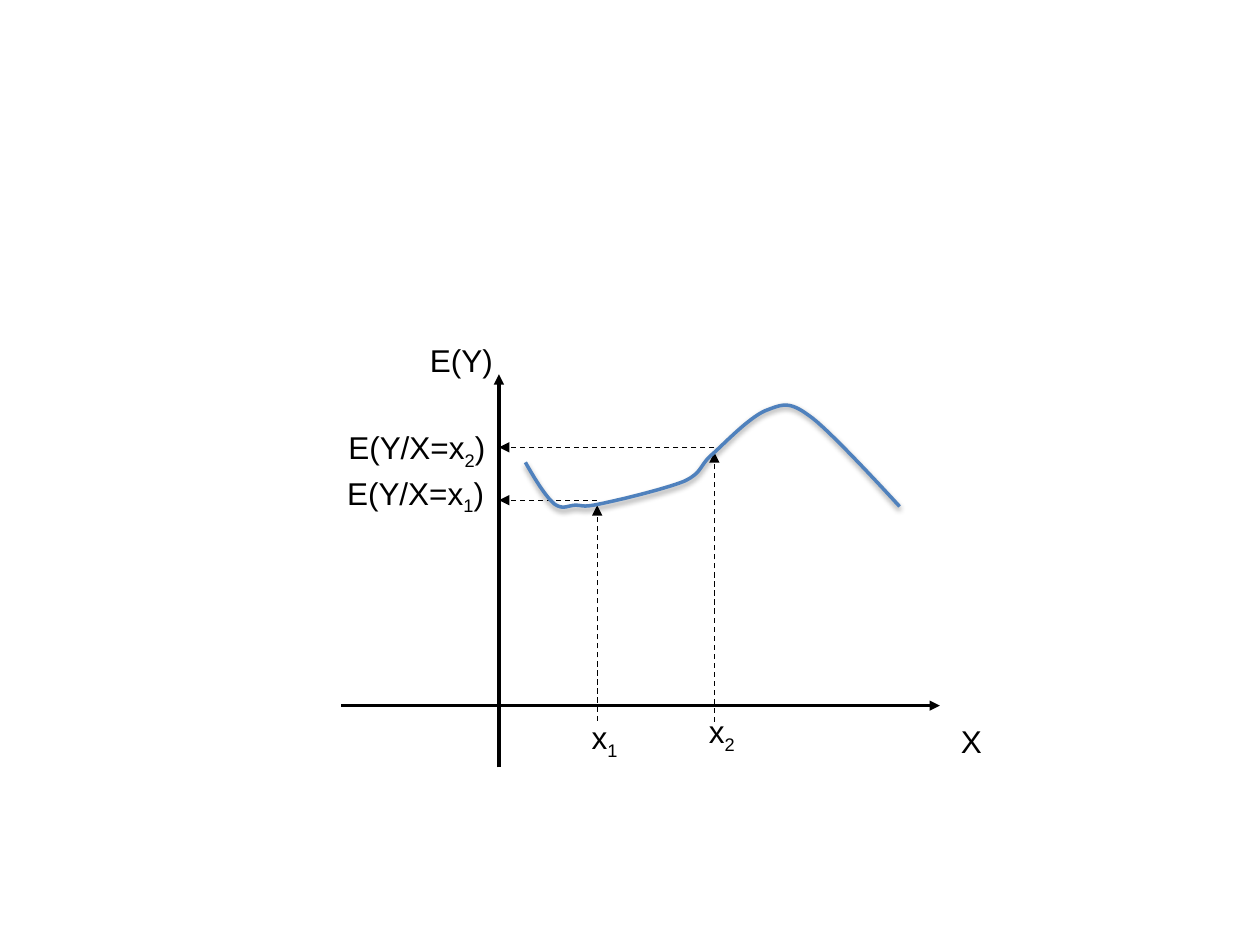
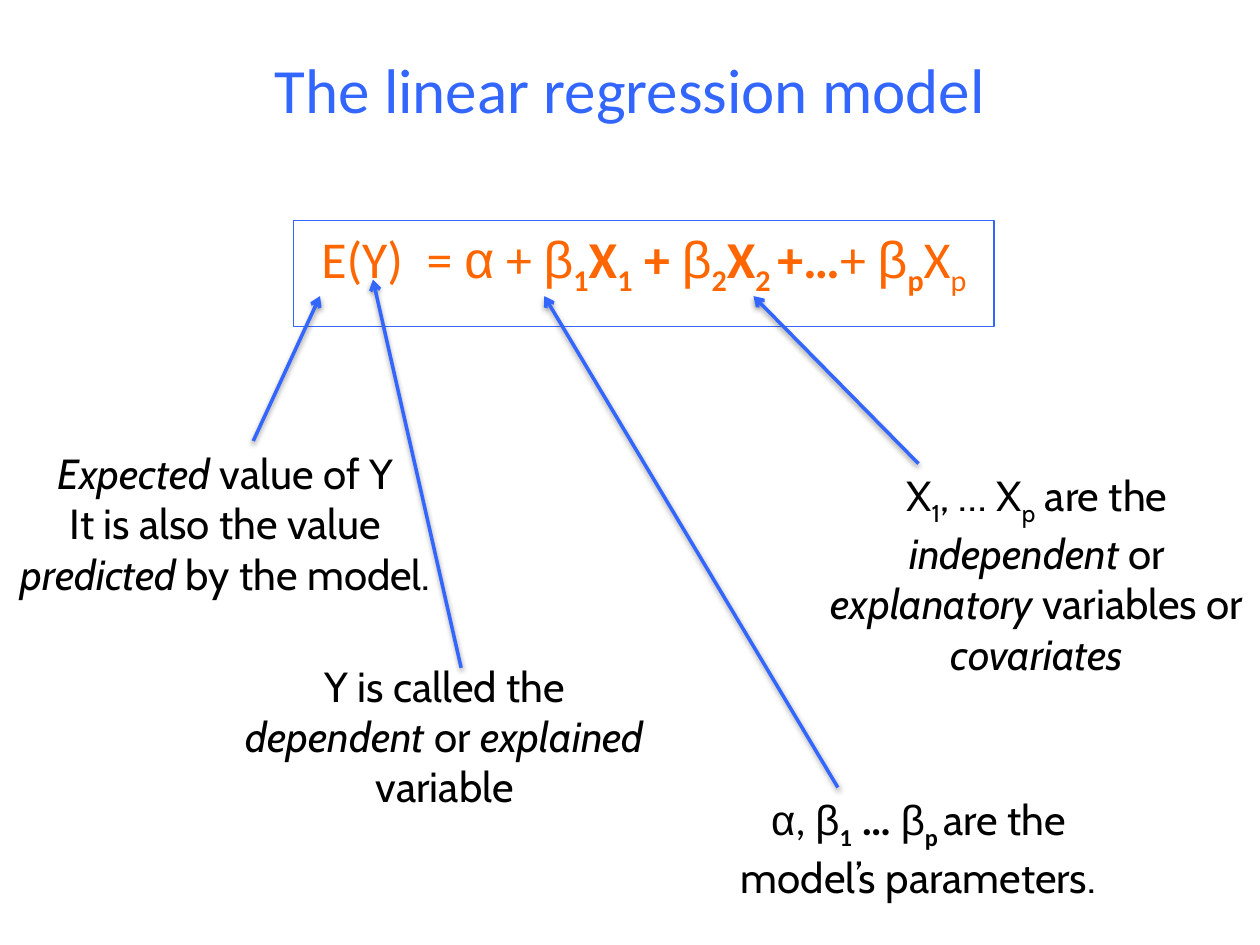
import dataclasses
import lxml.etree
import pptx
import pptx.dml.color
import pptx.enum.dml
import pptx.enum.shapes
import pptx.enum.text
import pptx.oxml.ns
import pptx.util

Inches = pptx.util.Inches
qn = pptx.oxml.ns.qn
ALIGN = pptx.enum.text.PP_ALIGN


@dataclasses.dataclass(frozen=True)
class Theme:
    ink: str = "000000"
    blue: str = "3366FF"
    orange: str = "FF6600"
    curve: str = "4F81BD"
    plain: str = "Arial"
    heading: str = "Calibri"
    note: str = "Cabin"
    title_size: float = 36
    equation_size: float = 29.6
    note_size: float = 24
    label_size: float = 18
    thick: float = 2
    medium: float = 1.5
    thin: float = 0.75


THEME = Theme()


@dataclasses.dataclass(frozen=True)
class Box:
    left: float
    top: float
    width: float
    height: float

    def point(self, x, y):
        return self.left + x, self.top + y

    def inner(self, x, y, width, height):
        return Box(self.left + x, self.top + y, width, height)

    def lengths(self):
        return [Inches(v) for v in (self.left, self.top, self.width, self.height)]


def rgb(color):
    return pptx.dml.color.RGBColor.from_string(color)


def set_effects(shape, shadowed):
    properties = shape._element.spPr
    effects = properties.find(qn("a:effectLst"))
    if effects is None:
        effects = lxml.etree.SubElement(properties, qn("a:effectLst"))
    if shadowed:
        shadow = lxml.etree.SubElement(
            effects, qn("a:outerShdw"), blurRad="40000", dist="20000",
            dir="5400000", rotWithShape="0")
        black = lxml.etree.SubElement(shadow, qn("a:srgbClr"), val=THEME.ink)
        lxml.etree.SubElement(black, qn("a:alpha"), val="38000")


def draw_arrow(slide, start, tip, color, width, head="triangle", dashed=False, shadowed=False):
    arrow = slide.shapes.add_connector(
        pptx.enum.shapes.MSO_CONNECTOR.STRAIGHT, *[Inches(v) for v in (*start, *tip)])
    arrow.line.color.rgb = rgb(color)
    arrow.line.width = pptx.util.Pt(width)
    if dashed:
        arrow.line.dash_style = pptx.enum.dml.MSO_LINE.DASH
    outline = arrow._element.spPr.find(qn("a:ln"))
    lxml.etree.SubElement(outline, qn("a:tailEnd"), type=head)
    set_effects(arrow, shadowed)


def write_runs(paragraph, runs, size, color, font):
    for text, style, *other_font in runs:
        run = paragraph.add_run()
        run.text = text
        run.font.name = other_font[0] if other_font else font
        run.font.size = pptx.util.Pt(size)
        run.font.color.rgb = rgb(color)
        run.font.bold = "bold" in style
        run.font.italic = "italic" in style
        if "sub" in style:
            run._r.get_or_add_rPr().set("baseline", "-25000")


def write_text(slide, box, paragraphs, size, color, font, align=ALIGN.CENTER):
    frame = slide.shapes.add_textbox(*box.lengths()).text_frame
    frame.word_wrap = True
    for index, runs in enumerate(paragraphs):
        paragraph = frame.add_paragraph() if index else frame.paragraphs[0]
        paragraph.alignment = align
        write_runs(paragraph, runs, size, color, font)
    return frame


def draw_axes(slide, box):
    draw_arrow(slide, box.point(1.46, 3.49), box.point(1.46, 0.37), THEME.ink, THEME.thick)
    draw_arrow(slide, box.point(0.21, 3), box.point(4.96, 3), THEME.ink, THEME.medium)


def draw_projections(slide, box):
    for x, foot, top, level in ((2.24, 3.12, 1.41, 1.37), (3.17, 3.13, 0.99, 0.95)):
        for start, tip in (((x, foot), (x, top)), ((x, level), (1.46, level))):
            draw_arrow(slide, box.point(*start), box.point(*tip), THEME.ink, THEME.thin, dashed=True)


def bezier(start, first, second, end, steps=16):
    for step in range(1, steps + 1):
        t = step / steps
        weights = ((1 - t) ** 3, 3 * t * (1 - t) ** 2, 3 * t * t * (1 - t), t ** 3)
        yield tuple(sum(w * p[axis] for w, p in zip(weights, (start, first, second, end)))
                    for axis in (0, 1))


def draw_regression_curve(slide, box):
    controls = [
        (1.67, 1.07),
        (1.75, 1.21), (1.83, 1.34), (1.9, 1.4),
        (1.97, 1.45), (2.01, 1.41), (2.07, 1.41),
        (2.13, 1.41), (2.12, 1.43), (2.26, 1.4),
        (2.41, 1.37), (2.78, 1.28), (2.93, 1.22),
        (3.08, 1.15), (3.05, 1.09), (3.16, 1),
        (3.27, 0.9), (3.47, 0.69), (3.6, 0.65),
        (3.73, 0.6), (3.78, 0.59), (3.95, 0.72),
        (4.12, 0.85), (4.64, 1.42), (4.64, 1.42),
    ]
    points = [controls[0]]
    for index in range(0, len(controls) - 1, 3):
        points.extend(bezier(*controls[index:index + 4]))
    outline = [tuple(Inches(v) for v in box.point(*point)) for point in points]
    builder = slide.shapes.build_freeform(*outline[0])
    builder.add_line_segments(outline[1:], close=False)
    curve = builder.convert_to_shape()
    curve.shadow.inherit = False
    curve.fill.background()
    curve.line.color.rgb = rgb(THEME.curve)
    curve.line.width = pptx.util.Pt(THEME.thick)
    set_effects(curve, True)


def write_labels(slide, box):
    labels = [
        (0.09, 0.06, 1.42, [("E(Y)", "")]),
        (3.97, 3.08, 1.42, [("X", "")]),
        (0.03, 0.75, 1.42, [("E(Y/X=x", ""), ("2", "sub"), (")", "")]),
        (0.02, 1.11, 1.42, [("E(Y/X=x", ""), ("1", "sub"), (")", "")]),
        (2.91, 3, 0.52, [("x", ""), ("2", "sub")]),
        (1.98, 3.05, 0.52, [("x", ""), ("1", "sub")]),
    ]
    for x, y, width, runs in labels:
        write_text(slide, box.inner(x, y, width, 0.4), [runs],
                   THEME.label_size, THEME.ink, THEME.plain, ALIGN.RIGHT)


def build_expectation_slide(slide, box):
    draw_axes(slide, box)
    draw_projections(slide, box)
    draw_regression_curve(slide, box)
    write_labels(slide, box)


def write_title(slide, box, title):
    frame = write_text(slide, box, [[(title, "")]], THEME.title_size, THEME.blue, THEME.heading)
    frame.vertical_anchor = pptx.enum.text.MSO_ANCHOR.MIDDLE


def write_equation(slide, box):
    equation = slide.shapes.add_shape(pptx.enum.shapes.MSO_SHAPE.RECTANGLE, *box.lengths())
    equation.shadow.inherit = False
    equation.fill.background()
    equation.line.color.rgb = rgb(THEME.blue)
    equation.line.width = pptx.util.Pt(THEME.thin)
    frame = equation.text_frame
    frame.word_wrap = True
    frame.vertical_anchor = pptx.enum.text.MSO_ANCHOR.TOP
    frame.paragraphs[0].alignment = ALIGN.CENTER
    beta = ("β", "", THEME.plain)
    runs = [
        ("E(Y)  = ", ""), ("α", "", THEME.plain), (" + ", ""),
        beta, ("1", "bold sub"), ("X", "bold"), ("1", "bold sub"), (" + ", "bold"),
        beta, ("2", "bold sub"), ("X", "bold"), ("2 ", "bold sub"), ("+…", "bold"), ("+ ", ""),
        beta, ("p", "bold sub"), ("X", ""), ("p", "sub"),
    ]
    write_runs(frame.paragraphs[0], runs, THEME.equation_size, THEME.orange, THEME.heading)


def write_note(slide, box, paragraphs, start, tip):
    write_text(slide, box, paragraphs, THEME.note_size, THEME.ink, THEME.note)
    draw_arrow(slide, box.point(*start), tip, THEME.blue, THEME.thick, "arrow", shadowed=True)


def build_model_slide(slide, box):
    write_title(slide, box.inner(0.5, 0.3, 9, 0.8), "The linear regression model")
    equation_box = box.inner(2.33, 1.75, 5.56, 0.84)
    write_equation(slide, equation_box)
    expected = [
        [("Expected", "italic"), (" value of Y", "")],
        [("It is also the value ", ""), ("predicted", "italic"), (" by the model.", "")],
    ]
    dependent = [[("Y is called the ", ""), ("dependent", "italic"), (" or ", ""),
                  ("explained", "italic"), (" variable", "")]]
    independent = [[("X", ""), ("1", "sub"), (", … X", ""), ("p", "sub"), (" are the ", ""),
                    ("independent", "italic"), (" or ", ""), ("explanatory", "italic"),
                    (" variables or ", ""), ("covariates", "italic")]]
    beta = ("β", "", THEME.plain)
    parameters = [[("α", "", THEME.plain), (", ", "", THEME.heading),
                   beta, ("1", "bold sub", THEME.heading), (" … ", "bold", THEME.heading),
                   beta, ("p ", "bold sub", THEME.heading), ("are the model’s parameters.", "")]]
    notes = [
        (0.02, 3.5, 1.31, expected, (1.99, 0), (0.21, 0.6)),
        (1.76, 5.19, 1.31, dependent, (1.9, 0.11), (0.63, 0.47)),
        (6.46, 3.68, 1.72, independent, (0.83, 0), (3.65, 0.6)),
        (5.52, 6.25, 0.91, parameters, (1.13, 0), (1.99, 0.6)),
    ]
    for x, y, height, paragraphs, start, tip in notes:
        write_note(slide, box.inner(x, y, 3.54, height), paragraphs, start, equation_box.point(*tip))


def main():
    deck = pptx.Presentation()
    deck.slide_width = Inches(10)
    deck.slide_height = Inches(7.5)
    blank = deck.slide_layouts[6]
    build_expectation_slide(deck.slides.add_slide(blank), Box(2.5, 2.6, 5.4, 3.5))
    build_model_slide(deck.slides.add_slide(blank), Box(0, 0, 10, 7.5))
    deck.save("out.pptx")


if __name__ == "__main__":
    main()
